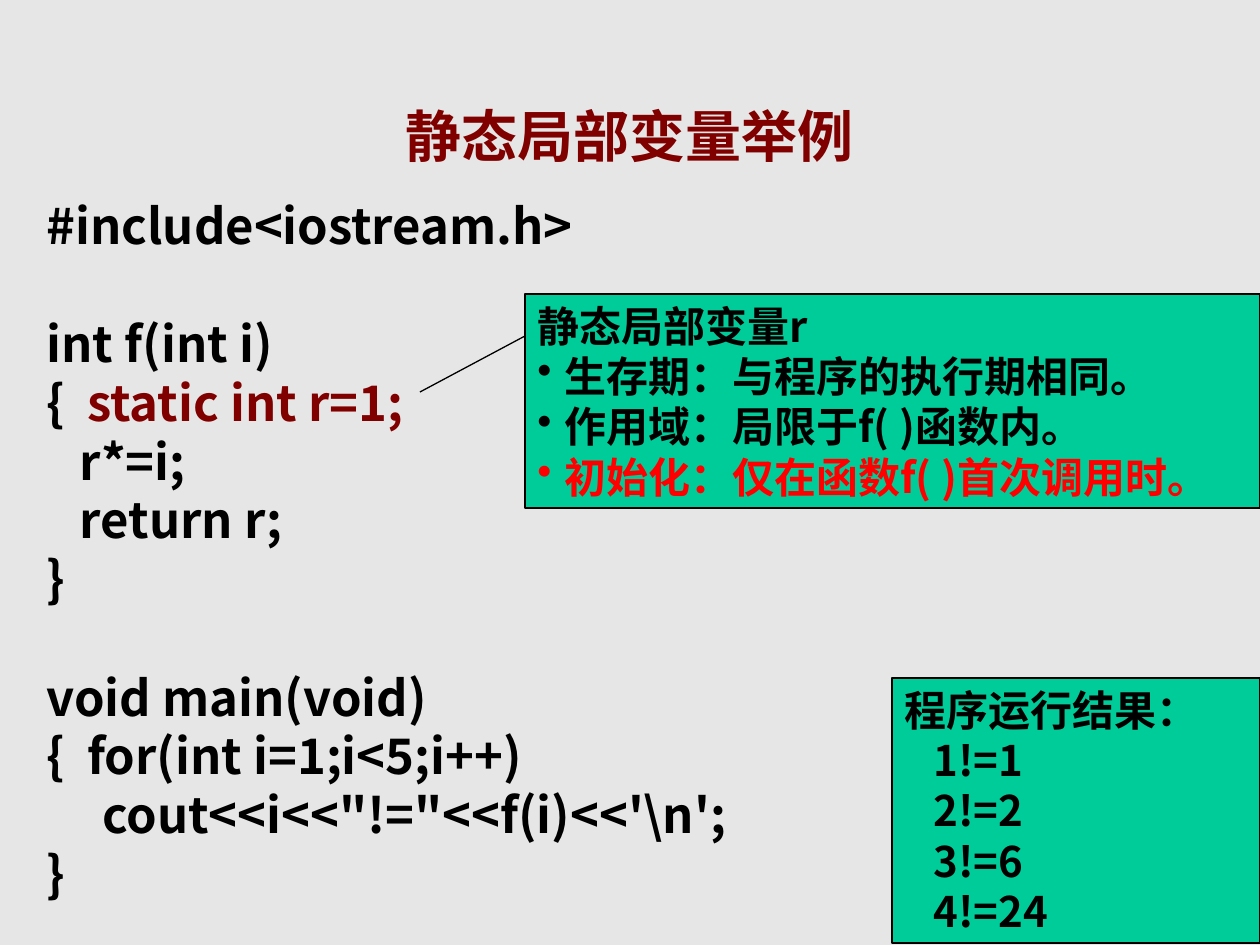
from dataclasses import dataclass
from typing import Optional

from lxml.etree import SubElement
from pptx import Presentation
from pptx.dml.color import RGBColor
from pptx.enum.shapes import MSO_CONNECTOR, MSO_SHAPE
from pptx.enum.text import MSO_ANCHOR, PP_ALIGN
from pptx.oxml.ns import qn
from pptx.util import Pt

EMU_PER_PX = 914400 / 126


@dataclass(frozen=True)
class Theme:
    font: str = "Noto Sans CJK SC"
    background: str = "E6E6E6"
    panel: str = "00CC99"
    ink: str = "000000"
    accent: str = "800000"
    alert: str = "FF0000"
    title_size: int = 32
    code_size: int = 28
    note_size: int = 24
    code_gap: int = 34
    line_width: float = 0.75


THEME = Theme()


@dataclass(frozen=True)
class Box:
    left: int
    top: int
    width: int
    height: int

    def emu(self) -> tuple:
        return tuple(px(value) for value in (self.left, self.top, self.width, self.height))


@dataclass(frozen=True)
class Line:
    """One paragraph; highlight is a closing run in the accent colour."""
    text: str
    highlight: str = ""
    size: int = THEME.note_size
    color: str = THEME.ink
    bullet: Optional[str] = None
    margin: int = 0
    indent: int = 0
    space_before: int = 0
    line_spacing: float = 1.0
    align: PP_ALIGN = PP_ALIGN.LEFT


def px(value: int) -> int:
    return round(value * EMU_PER_PX)


def rgb(value: str) -> RGBColor:
    return RGBColor.from_string(value)


def code(text: str, highlight: str = "", space_before: int = 0) -> Line:
    return Line(text, highlight, THEME.code_size, margin=40, indent=-40,
                space_before=space_before)


def bullet(text: str, color: str = THEME.ink) -> Line:
    return Line(text, color=color, bullet="•", margin=27, indent=-27)


TITLE = Line("静态局部变量举例", size=THEME.title_size, color=THEME.accent,
             line_spacing=1.5, align=PP_ALIGN.CENTER)
CODE = [
    code(" #include<iostream.h>"),
    code(" int f(int i)", space_before=THEME.code_gap),
    code(" {  ", "static int r=1;"),
    code("    r*=i;"),
    code("    return r;"),
    code(" }"),
    code(" void main(void)", space_before=THEME.code_gap),
    code(" {  for(int i=1;i<5;i++)"),
    code("      cout<<i<<\"!=\"<<f(i)<<'\\n';"),
    code(" }"),
]
RESULTS = [Line("程序运行结果：")] + [
    Line(text, margin=29) for text in ("1!=1", "2!=2", "3!=6", "4!=24")
]
NOTES = [
    Line("静态局部变量r"),
    bullet("生存期：与程序的执行期相同。"),
    bullet("作用域：局限于f( )函数内。"),
    bullet("初始化：仅在函数f( )首次调用时。", THEME.alert),
]


def write_line(paragraph, line: Line) -> None:
    paragraph.alignment = line.align
    paragraph.line_spacing = line.line_spacing
    paragraph.space_before = Pt(line.space_before)
    properties = paragraph._p.get_or_add_pPr()
    properties.set("marL", str(px(line.margin)))
    properties.set("indent", str(px(line.indent)))
    if line.bullet:
        bullet_color = SubElement(properties, qn("a:buClr"))
        SubElement(bullet_color, qn("a:srgbClr"), val=line.color)
        SubElement(properties, qn("a:buChar"), char=line.bullet)
    font = paragraph.font
    font.name, font.size, font.bold = THEME.font, Pt(line.size), True
    font.color.rgb = rgb(line.color)
    SubElement(properties.find(qn("a:defRPr")), qn("a:ea"), typeface=THEME.font)
    paragraph.add_run().text = line.text
    if line.highlight:
        run = paragraph.add_run()
        run.text = line.highlight
        run.font.color.rgb = rgb(THEME.accent)


def write_lines(shape, lines: list[Line], anchor: MSO_ANCHOR = MSO_ANCHOR.TOP) -> None:
    frame = shape.text_frame
    frame.word_wrap = True
    frame.vertical_anchor = anchor
    for index, line in enumerate(lines):
        write_line(frame.add_paragraph() if index else frame.paragraphs[0], line)


def add_panel(slide, box: Box, lines: list[Line]) -> None:
    shape = slide.shapes.add_shape(MSO_SHAPE.RECTANGLE, *box.emu())
    shape.shadow.inherit = False
    shape.fill.solid()
    shape.fill.fore_color.rgb = rgb(THEME.panel)
    shape.line.color.rgb = rgb(THEME.ink)
    shape.line.width = Pt(THEME.line_width)
    write_lines(shape, lines)


def add_leader(slide, start: tuple[int, int], end: tuple[int, int]) -> None:
    connector = slide.shapes.add_connector(
        MSO_CONNECTOR.STRAIGHT, *(px(value) for value in start + end))
    connector.line.color.rgb = rgb(THEME.ink)
    connector.line.width = Pt(THEME.line_width)
    SubElement(connector._element.spPr, qn("a:effectLst"))


def main() -> None:
    presentation = Presentation()
    presentation.slide_width, presentation.slide_height = px(1260), px(945)
    slide = presentation.slides.add_slide(presentation.slide_layouts[6])
    slide.background.fill.solid()
    slide.background.fill.fore_color.rgb = rgb(THEME.background)

    title = slide.shapes.add_textbox(*Box(10, 62, 1239, 113).emu())
    write_lines(title, [TITLE], MSO_ANCHOR.MIDDLE)
    listing = slide.shapes.add_textbox(*Box(23, 189, 1216, 719).emu())
    write_lines(listing, CODE)
    add_panel(slide, Box(892, 678, 368, 265), RESULTS)
    add_panel(slide, Box(525, 294, 735, 214), NOTES)
    add_leader(slide, (525, 336), (420, 392))
    presentation.save("out.pptx")


if __name__ == "__main__":
    main()
